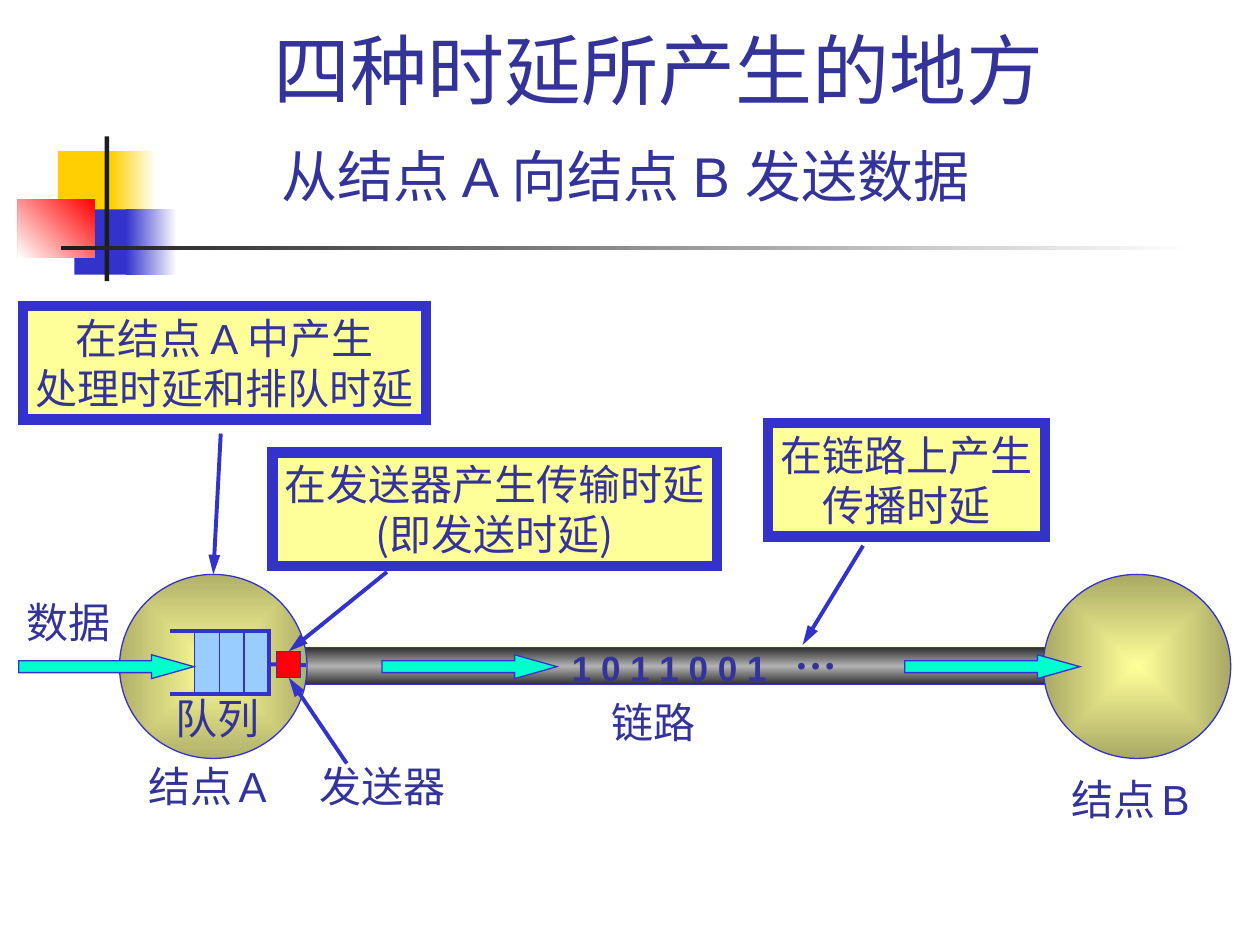
from dataclasses import dataclass
from typing import Optional

from lxml import etree
from pptx import Presentation
from pptx.dml.color import RGBColor
from pptx.enum import shapes, text
from pptx.oxml import parse_xml
from pptx.oxml.ns import nsdecls, qn
from pptx.util import Cm, Pt

COLOURS = {
    "ink": "333399", "line": "3333CC", "gold": "FFCF01", "red": "FF0000",
    "black": "1C1C1C", "white": "FFFFFF", "note": "FFFF99", "slot": "99CCFF",
    "flow": "00FFCC", "steel": "303030", "shine": "B2B2B2",
    "node_a": "B1B16A", "node_b": "A9A965",
}
SERIF, SANS, CJK = "Times New Roman", "Arial", "Noto Sans CJK SC"
RECT, OVAL = shapes.MSO_SHAPE.RECTANGLE, shapes.MSO_SHAPE.OVAL
ARROW = shapes.MSO_SHAPE.RIGHT_ARROW


@dataclass
class Gradient:
    colours: tuple
    angle: Optional[int] = 0  # None runs from the centre to the edges


@dataclass
class Span:
    text: str
    font: Optional[str] = None
    size: Optional[float] = None


@dataclass
class Label:
    lines: list  # each line is a string or a list of spans
    left: float
    top: float
    width: float
    height: float = 1.27
    font: str = SERIF
    size: float = 24
    bold: bool = False


def rgb(name: str) -> RGBColor:
    return RGBColor.from_string(COLOURS[name])


def paint_gradient(shape, gradient: Gradient) -> None:
    last = len(gradient.colours) - 1
    stops = "".join(
        f'<a:gs pos="{100000 * i // last}"><a:srgbClr val="{COLOURS[name]}"/></a:gs>'
        for i, name in enumerate(gradient.colours))
    if gradient.angle is None:
        course = ('<a:path path="rect"><a:fillToRect l="50000" t="50000" '
                  'r="50000" b="50000"/></a:path>')
    else:
        course = f'<a:lin ang="{gradient.angle * 60000}" scaled="0"/>'
    shape.fill.gradient()
    properties = shape._element.spPr
    properties.replace(
        properties.find(qn("a:gradFill")),
        parse_xml(f'<a:gradFill {nsdecls("a")} rotWithShape="1">'
                  f'<a:gsLst>{stops}</a:gsLst>{course}</a:gradFill>'))


def outline(shape, weight: float) -> None:
    """Draw the edge with sharp corners."""
    shape.line.color.rgb = rgb("line")
    shape.line.width = Pt(weight)
    etree.SubElement(shape.line._get_or_add_ln(), qn("a:miter"), lim="800000")


def add_block(page, kind, left, top, width, height, fill, weight=0.75):
    """Add a preset shape; a weight of 0 leaves it without an outline."""
    shape = page.shapes.add_shape(kind, Cm(left), Cm(top), Cm(width), Cm(height))
    shape.shadow.inherit = False
    if isinstance(fill, Gradient):
        paint_gradient(shape, fill)
    else:
        shape.fill.solid()
        shape.fill.fore_color.rgb = rgb(fill)
    if weight:
        outline(shape, weight)
    else:
        shape.line.fill.background()
    return shape


def add_line(page, start, end, weight=2.25, arrow=False):
    line = page.shapes.add_connector(
        shapes.MSO_CONNECTOR.STRAIGHT, *(Cm(value) for value in (*start, *end)))
    outline(line, weight)
    etree.SubElement(line._element.spPr, qn("a:effectLst"))
    if arrow:
        etree.SubElement(line.line._get_or_add_ln(), qn("a:tailEnd"),
                         type="triangle", w="med", len="lg")
    return line


def write(frame, label: Label, align) -> None:
    frame.word_wrap = False
    frame.auto_size = text.MSO_AUTO_SIZE.SHAPE_TO_FIT_TEXT
    frame.vertical_anchor = text.MSO_ANCHOR.TOP
    for index, line in enumerate(label.lines):
        para = frame.add_paragraph() if index else frame.paragraphs[0]
        para.alignment = align
        para.font.name, para.font.size = label.font, Pt(label.size)
        para.font.bold = label.bold
        para.font.color.rgb = rgb("ink")
        for span in [Span(line)] if isinstance(line, str) else line:
            run = para.add_run()
            run.text = span.text
            if span.font:
                run.font.name = span.font
            if span.size:
                run.font.size = Pt(span.size)


def add_label(page, label: Label) -> None:
    box = page.shapes.add_textbox(
        Cm(label.left), Cm(label.top), Cm(label.width), Cm(label.height))
    write(box.text_frame, label, text.PP_ALIGN.LEFT)


def add_callout(page, label: Label) -> None:
    box = add_block(page, RECT, label.left, label.top, label.width, label.height,
                    "note", 6)
    write(box.text_frame, label, text.PP_ALIGN.CENTER)


def add_ornament(page) -> None:
    for left, top, width, height, fill in (
            (1.17, 3.05, 1.22, 1.32, "gold"),
            (2.24, 3.05, 0.91, 1.32, Gradient(("gold", "white"))),
            (1.5, 4.22, 1.17, 1.32, "line"),
            (2.54, 4.22, 1.02, 1.32, Gradient(("line", "white"))),
            (0.36, 4.02, 1.55, 1.17, Gradient(("red", "white"), 135)),
            (2.11, 2.75, 0.09, 2.92, "black"),
            (1.23, 4.95, 22.86, 0.09, Gradient(("black", "white")))):
        add_block(page, RECT, left, top, width, height, fill, 0)


def add_title(page) -> None:
    title = page.shapes.title
    title.left, title.top, title.width, title.height = (
        Cm(3.51), Cm(0.31), Cm(19.91), Cm(2.13))
    frame = title.text_frame
    frame.text = "四种时延所产生的地方 "
    frame.auto_size = text.MSO_AUTO_SIZE.NONE
    frame.vertical_anchor = text.MSO_ANCHOR.BOTTOM
    para = frame.paragraphs[0]
    para.alignment = text.PP_ALIGN.CENTER
    para.font.name, para.font.size = SANS, Pt(44)
    para.font.color.rgb = rgb("ink")


def add_queue(page) -> None:
    left, top, slot, height = 3.92, 12.73, 0.5, 1.27
    right, bottom, mouth = left + 3 * slot, top + height, 3.43
    add_block(page, RECT, left, top, 3 * slot, height, "slot")
    builder = page.shapes.build_freeform(Cm(mouth), Cm(top))
    builder.add_line_segments(
        [(Cm(x), Cm(y)) for x, y in ((right, top), (right, bottom), (mouth, bottom))],
        close=False)
    frame = builder.convert_to_shape()
    frame.shadow.inherit = False
    frame.fill.background()
    outline(frame, 2.25)
    for index in range(3):
        x = left + index * slot
        add_line(page, (x, top), (x, bottom), 0.75)
    add_line(page, (right, 13.39), (6.17, 13.41))


CALLOUTS = [
    Label(["在链路上产生", "传播时延"], 15.48, 8.53, 5.59, 2.29, CJK),
    Label(["在发送器产生传输时延", "(即发送时延)"], 5.49, 9.12, 8.97, 2.29, CJK),
    Label([[Span("在结点 "), Span("A ", SANS), Span("中产生")], "处理时延和排队时延"],
          0.46, 6.17, 8.13, 2.29, CJK),
]


def node_name(letter: str) -> list:
    return [[Span("结点"), Span(" ", SANS, 16), Span(letter, SANS)]]


LABELS = [
    Label(["从结点 A 向结点 B 发送数据"], 5.42, 2.72, 15.52, 1.63, SANS, 32),
    Label(["1 0 1 1 0 0 1"], 11.28, 12.9, 4.45, 1.12, SANS, 20, True),
    Label(["…"], 15.77, 12.52, 1.35, bold=True),
    Label(["数据"], 0.28, 11.91, 2.25),
    Label(["队列"], 3.28, 13.84, 2.25),
    Label(["链路"], 12.08, 13.92, 2.25),
    Label(["发送器"], 6.2, 15.21, 3.1),
    Label(node_name("A"), 2.74, 15.21, 3.05),
    Label(node_name("B"), 21.35, 15.47, 3.05),
]


def main() -> None:
    deck = Presentation()
    deck.slide_width, deck.slide_height = Cm(25.4), Cm(19.05)
    page = deck.slides.add_slide(deck.slide_layouts[5])
    add_ornament(page)
    add_title(page)

    add_block(page, RECT, 5.94, 13.06, 15.34, 0.74,
              Gradient(("steel", "shine", "steel"), 90))
    node_a, _ = [
        add_block(page, OVAL, left, 11.58, 3.78, 3.71, Gradient(("note", edge), None))
        for left, edge in ((2.41, "node_a"), (21.03, "node_b"))]
    add_queue(page)
    transmitter = add_block(page, RECT, 5.58, 13.13, 0.48, 0.53, "red")
    for left in (0.38, 7.7, 18.24):
        arrow = add_block(page, ARROW, left, 13.2, 3.53, 0.48, "flow")
        arrow.adjustments[1] = 1.78

    for label in LABELS:
        add_label(page, label)
    for callout in CALLOUTS:
        add_callout(page, callout)
    add_line(page, (17.4, 11), (16.18, 13), arrow=True)
    for start, target, side in (((4.45, 8.74), node_a, 0),
                                ((7.8, 11.53), transmitter, 0),
                                ((6.99, 15.39), transmitter, 2)):
        add_line(page, start, start, arrow=True).end_connect(target, side)

    deck.save("out.pptx")


if __name__ == "__main__":
    main()
